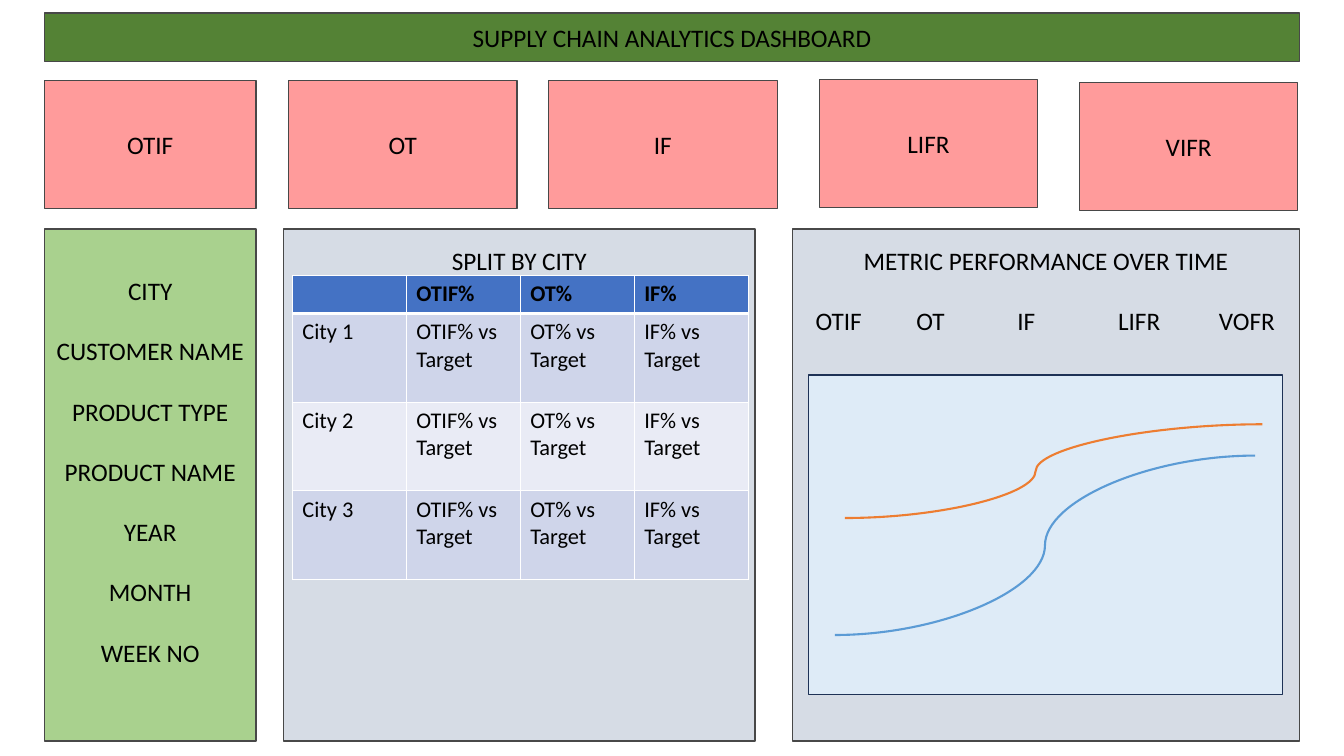
"""Builds the supply chain analytics dashboard wireframe slide."""
from lxml import etree
from pptx import Presentation
from pptx.dml.color import RGBColor
from pptx.enum.shapes import MSO_CONNECTOR, MSO_SHAPE
from pptx.enum.text import MSO_ANCHOR, PP_ALIGN
from pptx.oxml.ns import qn
from pptx.util import Inches, Pt

TITLE = "SUPPLY CHAIN ANALYTICS DASHBOARD"
KPIS = [("OTIF", 0.44, 0.8, 2.1), ("OT", 2.86, 0.8, 2.27), ("IF", 5.44, 0.8, 2.27),
        ("LIFR", 8.13, 0.79, 2.16), ("VIFR", 10.71, 0.82, 2.16)]
FILTERS = ["CITY", "CUSTOMER NAME", "PRODUCT TYPE", "PRODUCT NAME", "YEAR", "MONTH", "WEEK NO"]
CITIES = ["City 1", "City 2", "City 3"]
CITY_METRICS = ["OTIF%", "OT%", "IF%"]
TREND_METRICS = ["OTIF", "OT", "IF", "LIFR", "VOFR"]
TRENDS = [("5B9BD5", (8.28, 6.3), (12.45, 4.52), 50000),
          ("ED7D31", (8.38, 5.14), (12.52, 4.21), 45700)]

KPI_HEIGHT, PANEL_TOP, PANEL_HEIGHT = 1.27, 2.27, 5.08
HEADER_HEIGHT, CITY_HEIGHT, COLUMN_WIDTH = 0.38, 0.88, 1.13
OUTLINE, PANEL, BLACK, WHITE = "484848", "D6DCE5", "000000", "FFFFFF"

prs = Presentation()
prs.slide_width, prs.slide_height = Inches(13.33), Inches(7.5)
slide = prs.slides.add_slide(prs.slide_layouts[6])


def rgb(value):
    return RGBColor.from_string(value)


def write(frame, lines, size, bold=False, align=None, gap=0):
    frame.word_wrap = True
    for i, line in enumerate(lines):
        paragraph = frame.paragraphs[0] if i == 0 else frame.add_paragraph()
        paragraph.alignment = align
        paragraph.space_before = Pt(gap if i else 0)
        run = paragraph.add_run()
        run.text = line
        font = run.font
        font.name, font.size, font.bold = "Calibri", Pt(size), bold
        font.color.rgb = rgb(BLACK)


def box(left, top, width, height, fill, lines=(), inset=None, side=0.1, line=OUTLINE):
    shape = slide.shapes.add_shape(
        MSO_SHAPE.RECTANGLE, Inches(left), Inches(top), Inches(width), Inches(height))
    shape.shadow.inherit = False
    shape.fill.solid()
    shape.fill.fore_color.rgb = rgb(fill)
    shape.line.color.rgb = rgb(line)
    shape.line.width = Pt(1)
    frame = shape.text_frame
    frame.margin_left = frame.margin_right = Inches(side)
    frame.vertical_anchor = MSO_ANCHOR.MIDDLE if inset is None else MSO_ANCHOR.TOP
    if inset is not None:
        frame.margin_top = Inches(inset)
    write(frame, lines, 18, align=PP_ALIGN.CENTER, gap=21.5)
    return shape


def space_tabs(paragraph, pitch, count):
    paragraph.alignment = PP_ALIGN.LEFT
    tabs = etree.SubElement(paragraph._p.get_or_add_pPr(), qn("a:tabLst"))
    for i in range(1, count + 1):
        etree.SubElement(tabs, qn("a:tab"), pos=str(Inches(pitch * i)), algn="l")


def border(cell, widths):
    properties = cell._tc.get_or_add_tcPr()
    for side, width in zip("LRTB", widths):
        line = etree.SubElement(properties, qn(f"a:ln{side}"), w=str(Pt(width)))
        fill = etree.SubElement(line, qn("a:solidFill"))
        etree.SubElement(fill, qn("a:srgbClr"), val=WHITE)


def city_table(left, top):
    rows = [["", *CITY_METRICS]]
    rows += [[city, *(f"{m} vs\nTarget" for m in CITY_METRICS)] for city in CITIES]
    heights = [HEADER_HEIGHT] + [CITY_HEIGHT] * len(CITIES)
    columns = len(rows[0])
    table = slide.shapes.add_table(
        len(rows), columns, Inches(left), Inches(top),
        Inches(COLUMN_WIDTH * columns), Inches(sum(heights))).table
    for column in table.columns:
        column.width = Inches(COLUMN_WIDTH)
    for r, (values, height) in enumerate(zip(rows, heights)):
        table.rows[r].height = Inches(height)
        fill = "4472C4" if r == 0 else ("E9EBF5", "CFD5EA")[r % 2]
        for c, value in enumerate(values):
            cell = table.cell(r, c)
            border(cell, (1, 1, 3 if r == 1 else 1, 3 if r == 0 else 1))
            cell.fill.solid()
            cell.fill.fore_color.rgb = rgb(fill)
            write(cell.text_frame, value.split("\n"), 16, bold=r == 0)


def trend(color, start, end, bend):
    curve = slide.shapes.add_connector(
        MSO_CONNECTOR.CURVE, *(Inches(v) for v in (*start, *end)))
    curve.line.color.rgb = rgb(color)
    curve.line.width = Pt(1.5)
    properties = curve._element.spPr
    etree.SubElement(properties, qn("a:effectLst"))
    geometry = properties.find(qn("a:prstGeom"))
    adjustments = geometry.find(qn("a:avLst"))
    if adjustments is None:
        adjustments = etree.SubElement(geometry, qn("a:avLst"))
    etree.SubElement(adjustments, qn("a:gd"), name="adj1", fmla=f"val {bend}")


box(0.44, 0.13, 12.45, 0.48, "548235", [TITLE])
for label, left, top, width in KPIS:
    box(left, top, width, KPI_HEIGHT, "FF9B9B", [label])
box(0.44, PANEL_TOP, 2.1, PANEL_HEIGHT, "A9D18E", FILTERS, inset=0.46)
box(2.81, PANEL_TOP, 4.68, PANEL_HEIGHT, PANEL, ["SPLIT BY CITY"], inset=0.16)
city_table(2.9, 2.73)
trend_panel = box(7.86, PANEL_TOP, 5.03, PANEL_HEIGHT, PANEL,
                  ["METRIC PERFORMANCE OVER TIME", "\t".join(TREND_METRICS)],
                  inset=0.16, side=0.23)
space_tabs(trend_panel.text_frame.paragraphs[1], 1, len(TREND_METRICS) - 1)
box(8.02, 3.72, 4.7, 3.17, "DEEBF7", line="1E3256")
for series in TRENDS:
    trend(*series)

prs.save("out.pptx")
